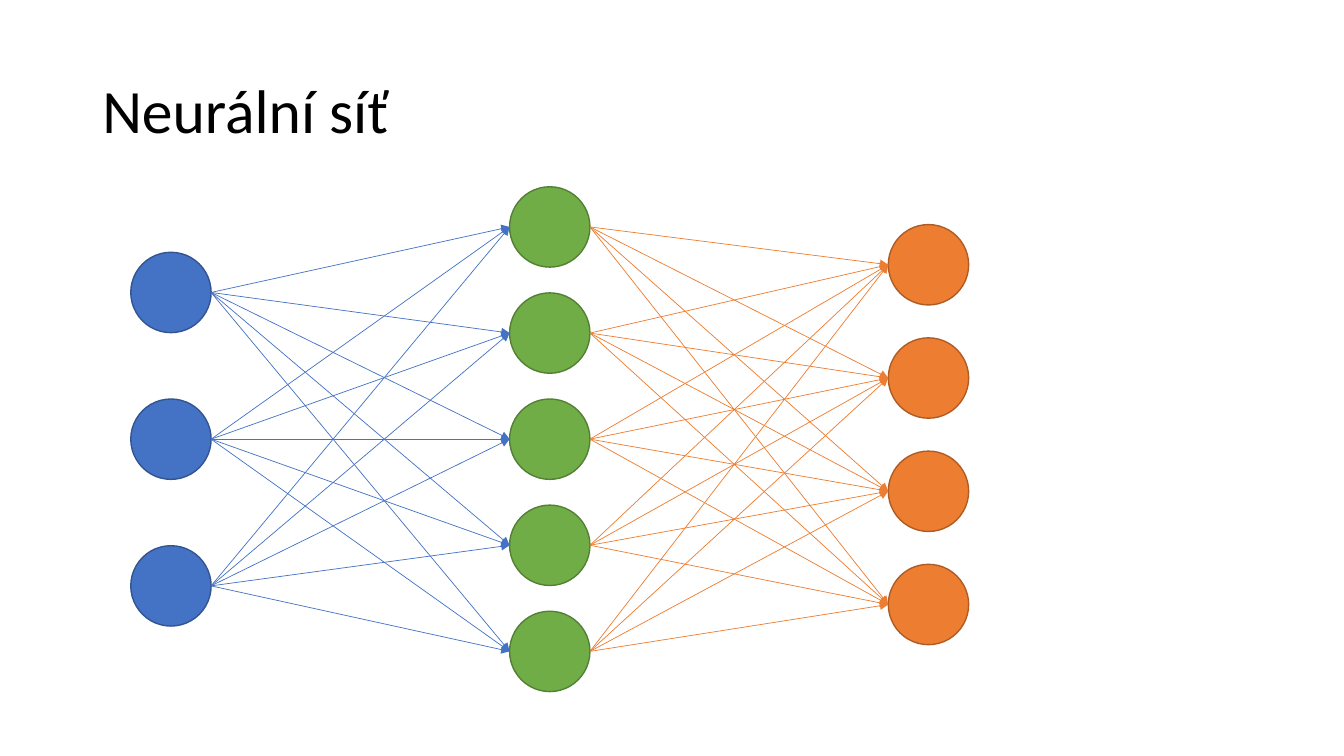
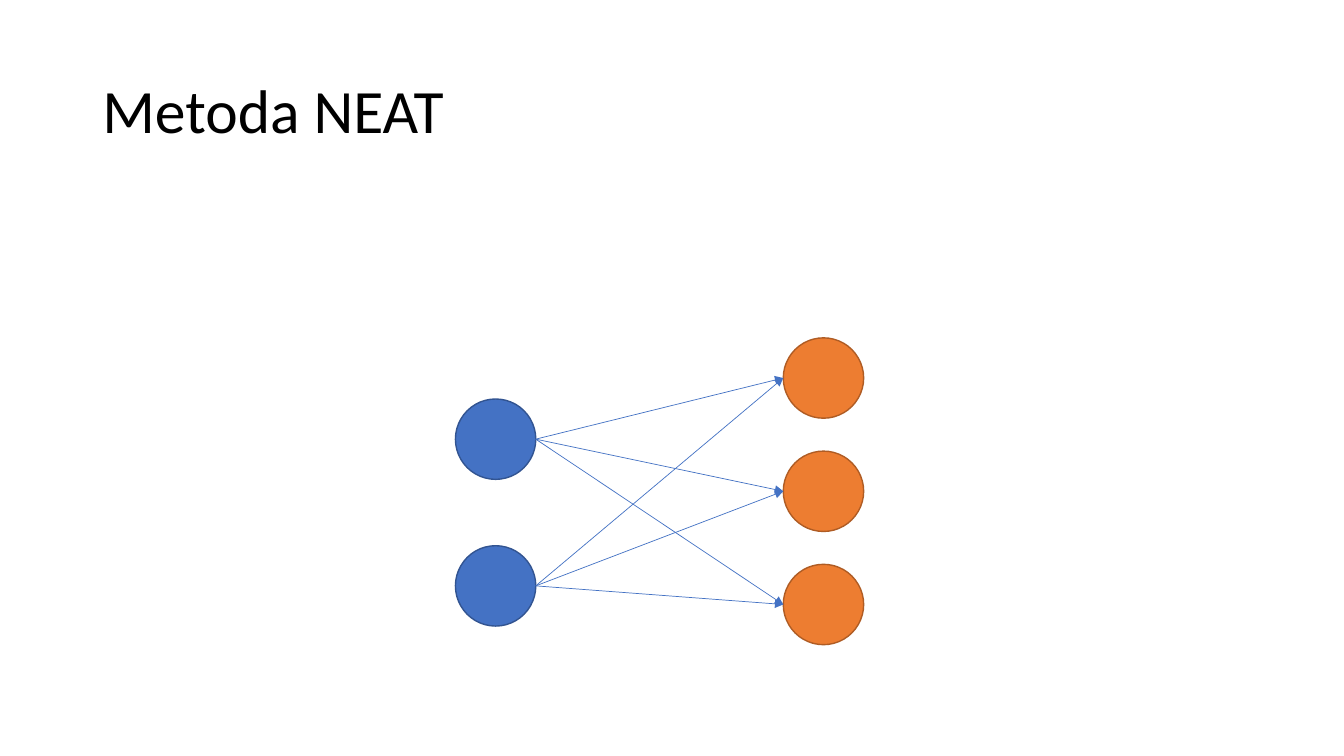
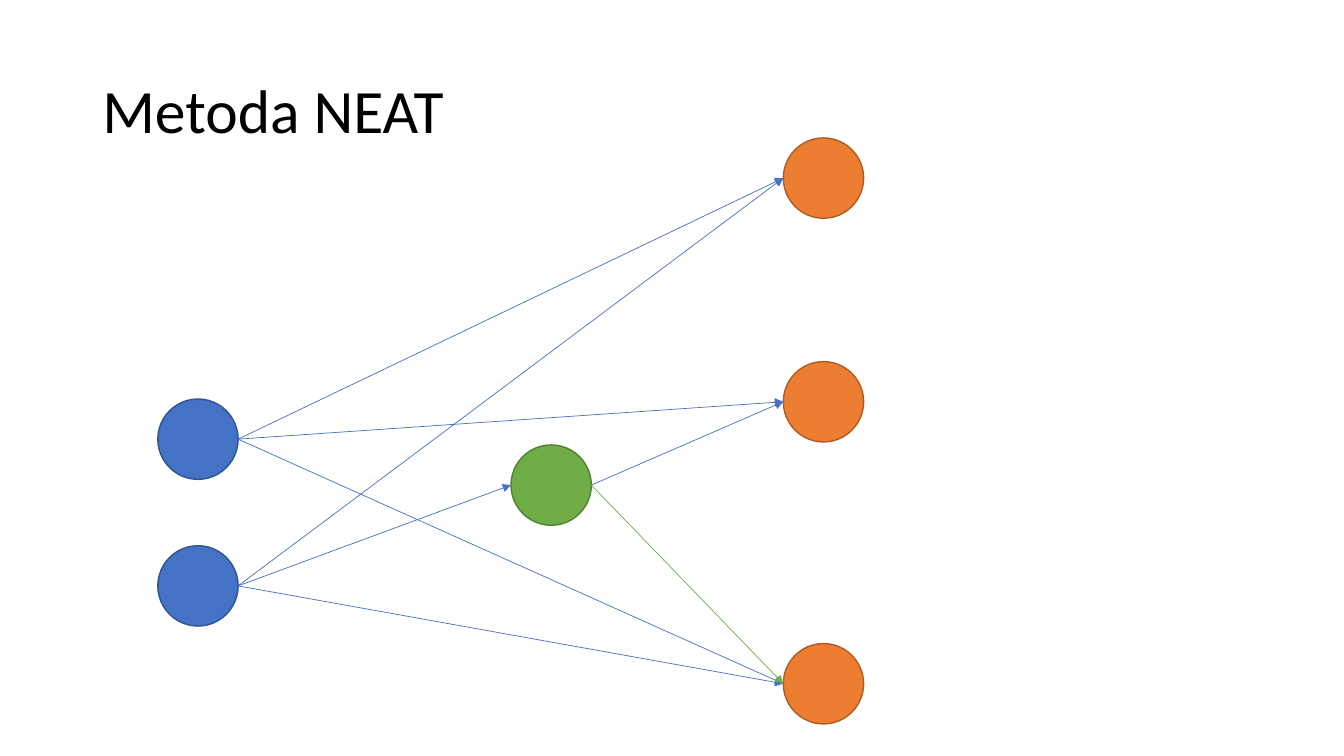
"""Build three slides that compare a layered neural network with the NEAT method."""
from itertools import product

from lxml.etree import SubElement
from pptx import Presentation
from pptx.dml.color import RGBColor
from pptx.enum.shapes import MSO_CONNECTOR as CONNECTOR, MSO_SHAPE as SHAPE
from pptx.enum.text import MSO_ANCHOR as ANCHOR
from pptx.oxml.ns import qn
from pptx.util import Pt

BLACK = RGBColor(0x00, 0x00, 0x00)
BLUE = RGBColor(0x44, 0x72, 0xC4)
DARK_BLUE = RGBColor(0x32, 0x54, 0x91)
GREEN = RGBColor(0x70, 0xAD, 0x47)
DARK_GREEN = RGBColor(0x53, 0x80, 0x35)
ORANGE = RGBColor(0xED, 0x7D, 0x31)
DARK_ORANGE = RGBColor(0xAF, 0x5C, 0x24)

OUTLINES = {BLUE: DARK_BLUE, GREEN: DARK_GREEN, ORANGE: DARK_ORANGE}
TITLE_FONT = {"name": "Calibri", "size": Pt(44)}
NODE_SIZE = 57.4
INPUT_CENTRES = [208.9 + 104.8 * row for row in range(3)]
HIDDEN_CENTRES = [162.1 + 75.8 * row for row in range(5)]
OUTPUT_CENTRES = [189.1 + 80.9 * row for row in range(4)]


def add_layer(slide, colour, left, centres):
    nodes = []
    for centre in centres:
        node = slide.shapes.add_shape(
            SHAPE.OVAL, Pt(left), Pt(centre - NODE_SIZE / 2), Pt(NODE_SIZE), Pt(NODE_SIZE))
        node.shadow.inherit = False
        node.fill.solid()
        node.fill.fore_color.rgb = colour
        node.line.color.rgb = OUTLINES[colour]
        node.line.width = Pt(1)
        nodes.append(node)
    return nodes


def connect(slide, sources, targets, colour):
    for source, target in product(sources, targets):
        arrow = slide.shapes.add_connector(
            CONNECTOR.STRAIGHT,
            source.left + source.width, source.top + source.height // 2,
            target.left, target.top + target.height // 2)
        arrow.line.color.rgb = colour
        arrow.line.width = Pt(0.5)
        SubElement(arrow.line._get_or_add_ln(), qn("a:tailEnd"), type="triangle")
        SubElement(arrow._element.spPr, qn("a:effectLst"))


presentation = Presentation()
presentation.slide_width = Pt(960)
presentation.slide_height = Pt(540)

slides = []
for title in ("Neurální síť", "Metoda NEAT", "Metoda NEAT"):
    slide = presentation.slides.add_slide(presentation.slide_layouts[6])
    frame = slide.shapes.add_textbox(Pt(66), Pt(28.75), Pt(828), Pt(104.4)).text_frame
    frame.word_wrap = True
    frame.vertical_anchor = ANCHOR.MIDDLE
    paragraph = frame.paragraphs[0]
    paragraph.text = title
    paragraph.line_spacing = 0.9
    for attribute, value in TITLE_FONT.items():
        setattr(paragraph.runs[0].font, attribute, value)
    paragraph.runs[0].font.color.rgb = BLACK
    slides.append(slide)
network_slide, start_slide, evolved_slide = slides

inputs = add_layer(network_slide, BLUE, 93.4, INPUT_CENTRES)
hidden = add_layer(network_slide, GREEN, 364, HIDDEN_CENTRES)
outputs = add_layer(network_slide, ORANGE, 634.5, OUTPUT_CENTRES)
connect(network_slide, inputs, hidden, BLUE)
connect(network_slide, hidden, outputs, ORANGE)

inputs = add_layer(start_slide, BLUE, 325.3, INPUT_CENTRES[1:])
outputs = add_layer(start_slide, ORANGE, 559.5, OUTPUT_CENTRES[1:])
connect(start_slide, inputs, outputs, BLUE)

inputs = add_layer(evolved_slide, BLUE, 112.7, INPUT_CENTRES[1:])
hidden = add_layer(evolved_slide, GREEN, 365, [346.5])
outputs = add_layer(evolved_slide, ORANGE, 559.5, [127.2, 287, 488.4])
connect(evolved_slide, inputs[:1], outputs, BLUE)
connect(evolved_slide, inputs[1:], [outputs[0], hidden[0], outputs[2]], BLUE)
connect(evolved_slide, hidden, outputs[1:2], BLUE)
connect(evolved_slide, hidden, outputs[2:], GREEN)

presentation.save("out.pptx")
